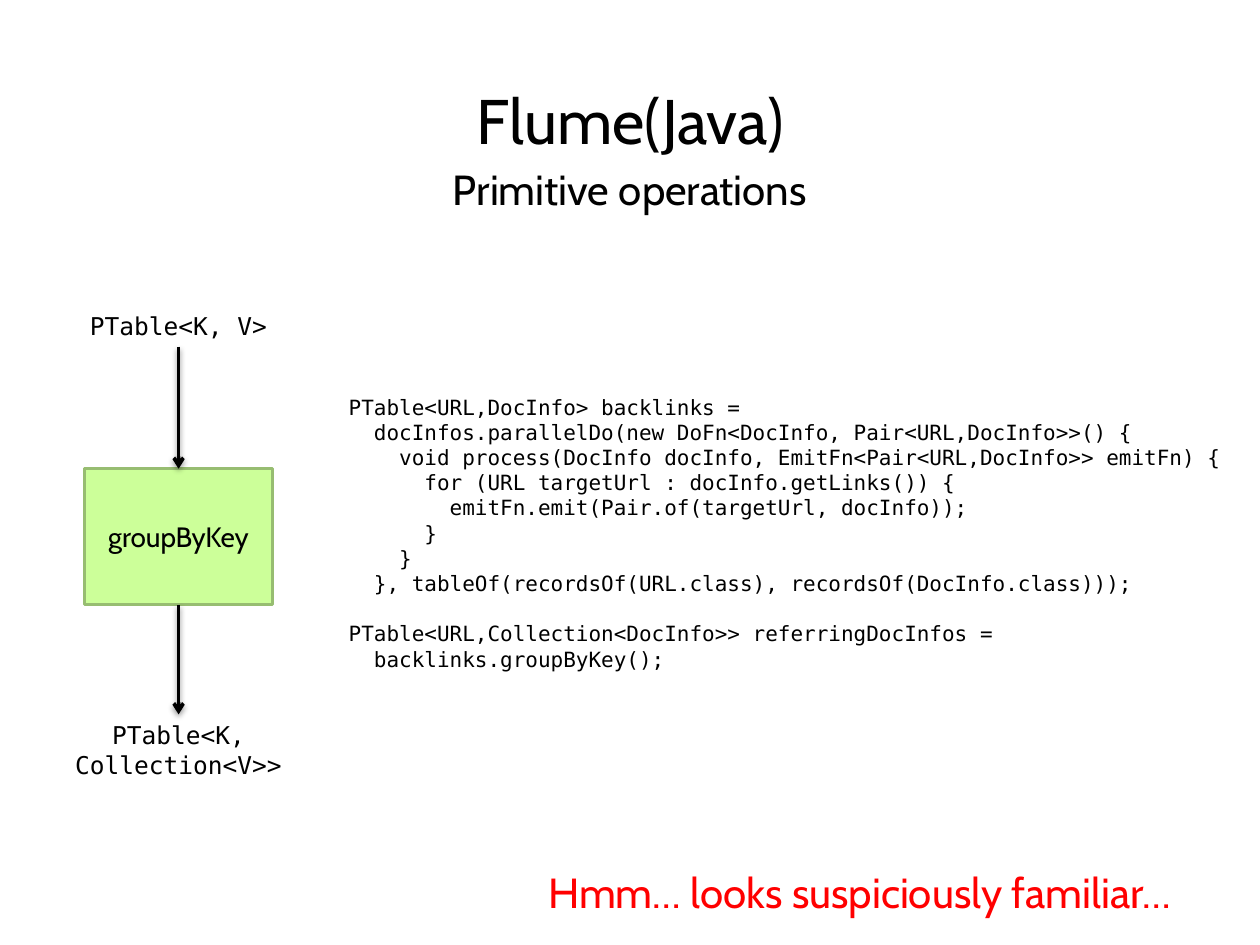
"""Build the slide on the groupByKey primitive."""
from dataclasses import dataclass
from typing import Any

from lxml.etree import SubElement as Sub
from pptx import Presentation
from pptx.dml.color import RGBColor as Rgb
from pptx.enum.shapes import MSO_CONNECTOR as Link, MSO_SHAPE as Shape
from pptx.enum.text import MSO_ANCHOR as Anchor, MSO_AUTO_SIZE as Fit, PP_ALIGN as Align
from pptx.oxml.ns import qn
from pptx.util import Cm, Pt

HUES = {"ink": "000000", "fill": "CCFF99", "edge": "97BD71", "red": "FF0000"}
SANS, MONO = "Cabin", "DejaVu Sans Mono"
MID = 3.6
CODE = """PTable<URL,DocInfo> backlinks =
  docInfos.parallelDo(new DoFn<DocInfo, Pair<URL,DocInfo>>() {
    void process(DocInfo docInfo, EmitFn<Pair<URL,DocInfo>> emitFn) {
      for (URL targetUrl : docInfo.getLinks()) {
        emitFn.emit(Pair.of(targetUrl, docInfo));
      }
    }
  }, tableOf(recordsOf(URL.class), recordsOf(DocInfo.class)));"""
CALL = """PTable<URL,Collection<DocInfo>> referringDocInfos =
  backlinks.groupByKey();"""


@dataclass
class Label:
    """A text box with its place in centimetres and its format."""
    blocks: list[str]
    left: float
    top: float
    width: float
    height: float
    size: float
    font: str = SANS
    hue: str = "ink"
    align: Align = Align.CENTER
    wrap: bool = True
    fit: Fit = Fit.SHAPE_TO_FIT_TEXT


@dataclass
class Arrow:
    """A downward arrow that meets the box at its start or its end."""
    top: float
    end: float
    start: bool


LABELS = [
    Label(["Flume(Java)"], 0, 1.52, 25.4, 1.9, 36, fit=Fit.NONE),
    Label(["PTable<K, V>"], MID - 2.75, 6.15, 5.5, 0.86, 14, MONO),
    Label(["PTable<K, Collection<V>>"], MID - 2.75, 14.4, 5.5, 1.45, 14, MONO),
    Label([CODE, CALL], 6.78, 7.82, 18.42, 5.89, 12, MONO, align=Align.LEFT),
    Label(["Primitive operations"], 0, 3.18, 25.4, 1.27, 24),
    Label(["Hmm… looks suspiciously familiar…"], 10.8, 17.35, 13.28, 1.27, 24,
          hue="red", align=Align.LEFT, wrap=False),
]
ARROWS = [Arrow(6.99, 9.45, False), Arrow(12.19, 14.4, True)]


def tint(name: str) -> Rgb:
    """Return the named colour."""
    return Rgb.from_string(HUES[name])


def write(frame: Any, blocks: list[str], *, size: float, font: str = SANS,
          hue: str = "ink", align: Align = Align.CENTER) -> None:
    """Write each line as a paragraph, with a line's gap between blocks."""
    rows = [(line, block > 0 and row == 0)
            for block, text in enumerate(blocks)
            for row, line in enumerate(text.split("\n"))]
    for spot, (line, gap) in enumerate(rows):
        para = frame.add_paragraph() if spot else frame.paragraphs[0]
        para.alignment = align
        if gap:
            para.space_before = Pt(size * 1.2)
        run = para.add_run()
        run.text = line
        run.font.name = font
        run.font.size = Pt(size)
        run.font.color.rgb = tint(hue)


def add_label(slide: Any, item: Label) -> None:
    """Add one text box."""
    box = slide.shapes.add_textbox(Cm(item.left), Cm(item.top),
                                   Cm(item.width), Cm(item.height))
    frame = box.text_frame
    frame.word_wrap = item.wrap
    frame.auto_size = item.fit
    write(frame, item.blocks, size=item.size, font=item.font,
          hue=item.hue, align=item.align)


def add_box(slide: Any) -> Any:
    """Add the operation box and return it."""
    box = slide.shapes.add_shape(Shape.RECTANGLE, Cm(MID - 1.9), Cm(9.45),
                                 Cm(3.8), Cm(2.74))
    box.shadow.inherit = False
    box.fill.solid()
    box.fill.fore_color.rgb = tint("fill")
    box.line.color.rgb = tint("edge")
    box.line.width = Pt(2)
    box.text_frame.word_wrap = True
    box.text_frame.vertical_anchor = Anchor.MIDDLE
    write(box.text_frame, ["groupByKey"], size=16)
    return box


def add_arrow(slide: Any, item: Arrow, box: Any) -> None:
    """Add an arrow with a soft shadow and join it to the box."""
    line = slide.shapes.add_connector(Link.STRAIGHT, Cm(MID), Cm(item.top),
                                      Cm(MID), Cm(item.end))
    if item.start:
        line.begin_connect(box, 2)
    else:
        line.end_connect(box, 0)
    line.line.color.rgb = tint("ink")
    line.line.width = Pt(2)
    Sub(line.get_or_add_ln(), qn("a:tailEnd"), type="arrow")
    glow = Sub(line.element.spPr, qn("a:effectLst"))
    shade = Sub(glow, qn("a:outerShdw"), blurRad="40000", dist="20000",
                dir="5400000", rotWithShape="0")
    color = Sub(shade, qn("a:srgbClr"), val=HUES["ink"])
    Sub(color, qn("a:alpha"), val="38000")


def main() -> None:
    """Build and save the slide."""
    deck = Presentation()
    deck.slide_width, deck.slide_height = Cm(25.4), Cm(19.05)
    slide = deck.slides.add_slide(deck.slide_layouts[6])
    box = add_box(slide)
    for item in LABELS:
        add_label(slide, item)
    for item in ARROWS:
        add_arrow(slide, item, box)
    deck.save("out.pptx")


if __name__ == "__main__":
    main()
